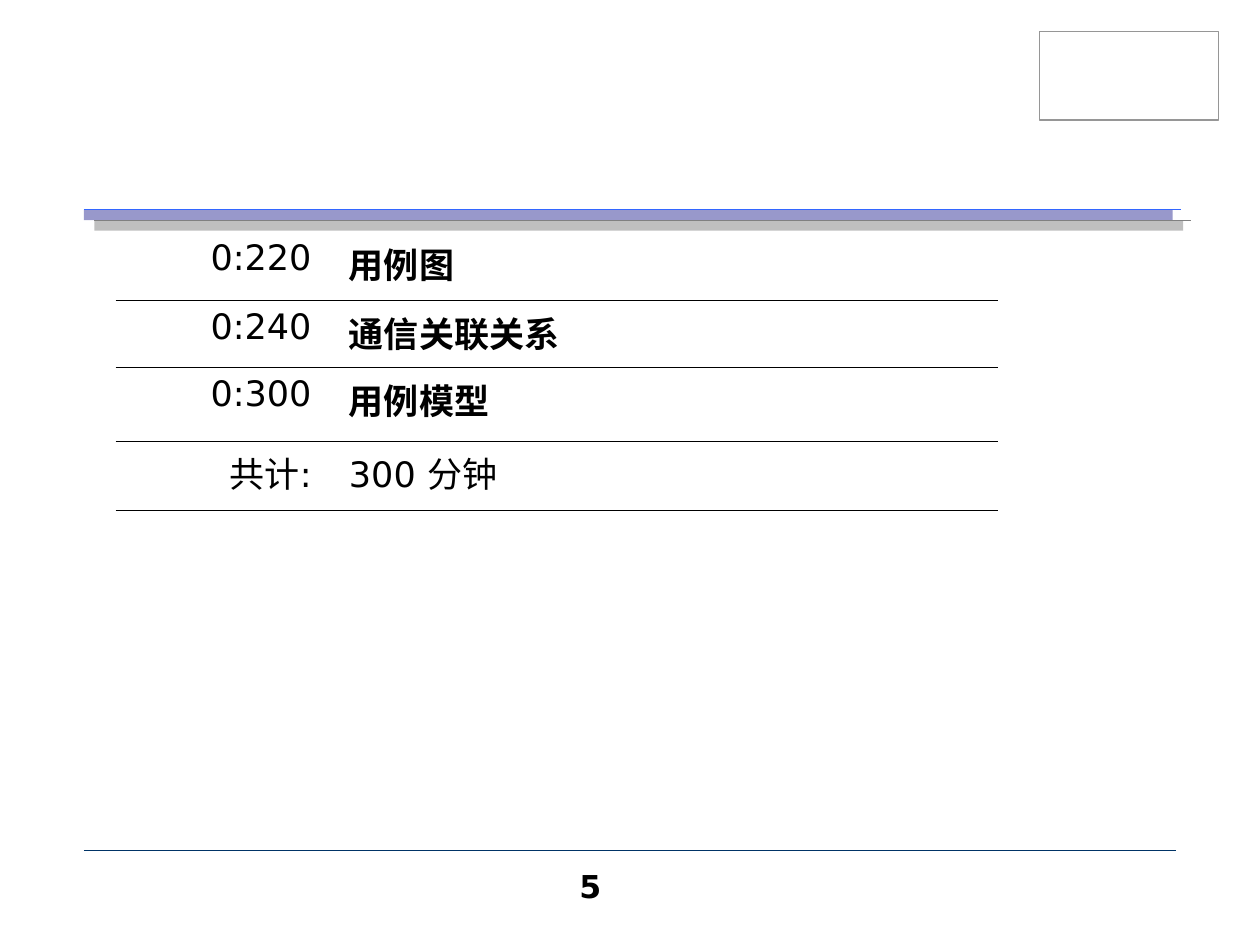
import pptx
import pptx.util
import pptx.oxml
import pptx.oxml.ns
import pptx.dml.color
import pptx.enum.shapes
import pptx.enum.text
from lxml import etree

Cm = pptx.util.Cm
Pt = pptx.util.Pt
qn = pptx.oxml.ns.qn
NS = pptx.oxml.ns.nsdecls("a")
COLORS = {
    "text": "000000",
    "box": "969696",
    "bar": "333399",
    "bar_edge": "3366FF",
    "shadow": "808080",
    "footer": "003366",
}


def rgb(name):
    return pptx.dml.color.RGBColor.from_string(COLORS[name])


def style(paragraph, size, bold=False, name="DejaVu Sans"):
    paragraph.font.name = name
    paragraph.font.size = Pt(size)
    paragraph.font.bold = bold
    paragraph.font.color.rgb = rgb("text")


deck = pptx.Presentation()
deck.slide_width = Cm(25.4)
deck.slide_height = Cm(19.05)
slide = deck.slides.add_slide(deck.slide_layouts[6])
shapes = slide.shapes

bar = shapes.add_shape(pptx.enum.shapes.MSO_SHAPE.RECTANGLE, Cm(1.69), Cm(4.23), Cm(21.95), Cm(0.21))
bar.shadow.inherit = False
bar.fill.solid()
bar.fill.fore_color.rgb = rgb("bar")
bar_color = bar.fill._xPr.find(qn("a:solidFill"))[0]
etree.SubElement(bar_color, qn("a:alpha"), val="50000")
bar.line.fill.background()
bar._element.spPr.find(qn("a:effectLst")).append(pptx.oxml.parse_xml(
    f'<a:outerShdw {NS} dist="107950" dir="2700000" algn="ctr" rotWithShape="0">'
    f'<a:srgbClr val="{COLORS["shadow"]}"/></a:outerShdw>'))

for left, right, y, color, width in (
    (1.9, 24.01, 4.44, "shadow", 0.75),
    (1.69, 23.8, 4.23, "bar_edge", 0.75),
    (1.69, 23.7, 17.15, "footer", 0.25),
):
    rule = shapes.add_connector(pptx.enum.shapes.MSO_CONNECTOR.STRAIGHT, Cm(left), Cm(y), Cm(right), Cm(y))
    rule.line.color.rgb = rgb(color)
    rule.line.width = Pt(width)
    etree.SubElement(rule._element.spPr, qn("a:effectLst"))

page_number = shapes.add_textbox(Cm(11.43), Cm(17.35), Cm(2.36), Cm(1.17))
page_number.text_frame.word_wrap = True
page_number.text_frame.text = "5"
style(page_number.text_frame.paragraphs[0], 18, bold=True)

corner_box = shapes.add_shape(pptx.enum.shapes.MSO_SHAPE.RECTANGLE, Cm(20.96), Cm(0.64), Cm(3.6), Cm(1.78))
corner_box.shadow.inherit = False
corner_box.fill.background()
corner_box.line.color.rgb = rgb("box")
corner_box.line.width = Pt(0.75)

agenda = [
    ("0:220", "用例图", True, "DejaVu Sans"),
    ("0:240", "通信关联关系", True, "Arial"),
    ("0:300", "用例模型", True, "DejaVu Sans"),
    ("共计:", "300 分钟", False, "DejaVu Sans"),
]
schedule = shapes.add_table(len(agenda), 2, Cm(2.33), Cm(4.66), Cm(17.78), Cm(5.63)).table
schedule.first_row = False
schedule.horz_banding = False
for column, width in zip(schedule.columns, (4.45, 13.33)):
    column.width = Cm(width)
for row, height in zip(schedule.rows, (1.4, 1.35, 1.48, 1.4)):
    row.height = Cm(height)

for r, (time, topic, topic_bold, topic_font) in enumerate(agenda):
    entries = (
        (time, False, "DejaVu Sans", pptx.enum.text.PP_ALIGN.RIGHT),
        (topic, topic_bold, topic_font, pptx.enum.text.PP_ALIGN.LEFT),
    )
    for c, (text, bold, font_name, alignment) in enumerate(entries):
        cell = schedule.cell(r, c)
        cell.text = text
        cell.margin_right = Cm(0.5)
        paragraph = cell.text_frame.paragraphs[0]
        paragraph.alignment = alignment
        paragraph.space_before = Pt(5)
        style(paragraph, 20, bold=bold, name=font_name)
        cell.fill.background()
        visible = {"lnB"} if r == 0 else {"lnT", "lnB"}
        for i, side in enumerate(("lnL", "lnR", "lnT", "lnB")):
            paint = f'<a:solidFill><a:srgbClr val="{COLORS["text"]}"/></a:solidFill>'
            if side not in visible:
                paint = "<a:noFill/>"
            cell._tc.tcPr.insert(i, pptx.oxml.parse_xml(f'<a:{side} {NS} w="5715">{paint}</a:{side}>'))

deck.save("out.pptx")
